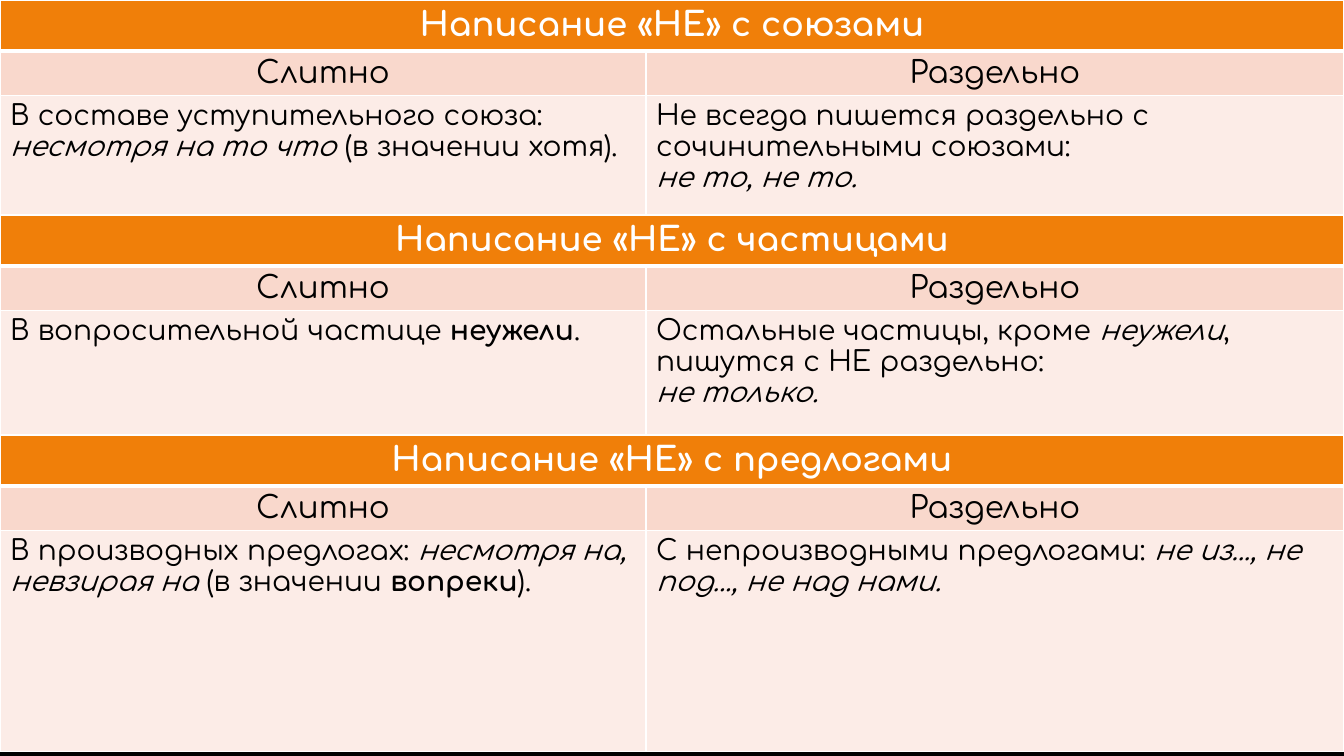
from lxml import etree
from pptx import Presentation
from pptx.dml.color import RGBColor
from pptx.enum.text import MSO_ANCHOR, PP_ALIGN
from pptx.oxml.ns import qn
from pptx.util import Emu, Pt

CENTER, LEFT = PP_ALIGN.CENTER, PP_ALIGN.LEFT
MIDDLE, TOP = MSO_ANCHOR.MIDDLE, MSO_ANCHOR.TOP
PX = 12192000 / 1344
COLORS = {"header": "F07F09", "subheader": "F9D8CC", "body": "FCECE7",
          "white": "FFFFFF", "black": "000000"}
COLUMN_WIDTHS = [646, 698]
HEADER_HEIGHT, SUBHEADER_HEIGHT = 51, 42
PLAIN, BOLD, ITALIC = {}, {"bold": True}, {"italic": True}

# Row formats: fill, text colour, font size, bold, alignment, anchor, top and bottom border
ROW_FORMATS = [
    ("header", "white", 24, True, CENTER, MIDDLE, 1, 3),
    ("subheader", "black", 22, False, CENTER, MIDDLE, 3, 1),
    ("body", "black", 20, False, LEFT, TOP, 1, 1),
]

# Each section: title, top, body row height, two body cells made of paragraphs of runs
SECTIONS = [
    ("Написание «НЕ» с союзами", 0, 543, [
        [[("В составе уступительного союза:", PLAIN)],
         [("несмотря на то что ", ITALIC), ("(в значении хотя).", PLAIN)]],
        [[("Не всегда пишется раздельно с сочинительными союзами:", PLAIN)],
         [("не то, не то.", ITALIC)]],
    ]),
    ("Написание «НЕ» с частицами", 215, 410, [
        [[("В вопросительной частице ", PLAIN), ("неужели", BOLD), (".", PLAIN)]],
        [[("Остальные частицы, кроме ", PLAIN), ("неужели", ITALIC),
          (", пишутся с НЕ раздельно:", PLAIN)],
         [("не только.", ITALIC)]],
    ]),
    ("Написание «НЕ» с предлогами", 435, 221, [
        [[("В производных предлогах: ", PLAIN), ("несмотря на, невзирая на ", ITALIC),
          ("(в значении ", PLAIN), ("вопреки", BOLD), (").", PLAIN)]],
        [[("С непроизводными предлогами: ", PLAIN),
          ("не из..., не под..., не над нами.", ITALIC)]],
    ]),
]


def px(length):
    return Emu(round(length * PX))


def format_cell(cell, paragraphs, row_format):
    """Fill, border and write one table cell."""
    fill, color, size, bold, alignment, anchor, top, bottom = row_format
    cell.fill.solid()
    cell.fill.fore_color.rgb = RGBColor.from_string(COLORS[fill])
    cell.vertical_anchor = anchor
    properties = cell._tc.get_or_add_tcPr()
    borders = [("a:lnL", 1), ("a:lnR", 1), ("a:lnT", top), ("a:lnB", bottom)]
    for index, (tag, width) in enumerate(borders):
        line = etree.Element(qn(tag), w=str(Pt(width)))
        solid = etree.SubElement(line, qn("a:solidFill"))
        etree.SubElement(solid, qn("a:srgbClr"), val=COLORS["white"])
        properties.insert(index, line)
    for number, runs in enumerate(paragraphs):
        frame = cell.text_frame
        para = frame.add_paragraph() if number else frame.paragraphs[0]
        para.alignment = alignment
        for text, style in runs:
            span = para.add_run()
            span.text = text
            span.font.color.rgb = RGBColor.from_string(COLORS[color])
            values = {"name": "Comfortaa", "size": Pt(size), "bold": bold,
                      "italic": False, **style}
            for name, value in values.items():
                setattr(span.font, name, value)


deck = Presentation()
deck.slide_width, deck.slide_height = px(1344), px(756)
slide = deck.slides.add_slide(deck.slide_layouts[6])
slide.background.fill.solid()
slide.background.fill.fore_color.rgb = RGBColor.from_string(COLORS["black"])

for title, top, body_height, bodies in SECTIONS:
    heights = [HEADER_HEIGHT, SUBHEADER_HEIGHT, body_height]
    table = slide.shapes.add_table(3, 2, px(0), px(top), px(sum(COLUMN_WIDTHS)),
                                   px(sum(heights))).table
    table.first_row = table.horz_banding = False
    for column, width in zip(table.columns, COLUMN_WIDTHS):
        column.width = px(width)
    table.cell(0, 0).merge(table.cell(0, 1))
    contents = [
        [[[(title, PLAIN)]], []],
        [[[("Слитно", PLAIN)]], [[("Раздельно", PLAIN)]]],
        bodies,
    ]
    for row, (height, cells, row_format) in enumerate(zip(heights, contents, ROW_FORMATS)):
        table.rows[row].height = px(height)
        for column, paragraphs in enumerate(cells):
            format_cell(table.cell(row, column), paragraphs, row_format)

deck.save("out.pptx")
